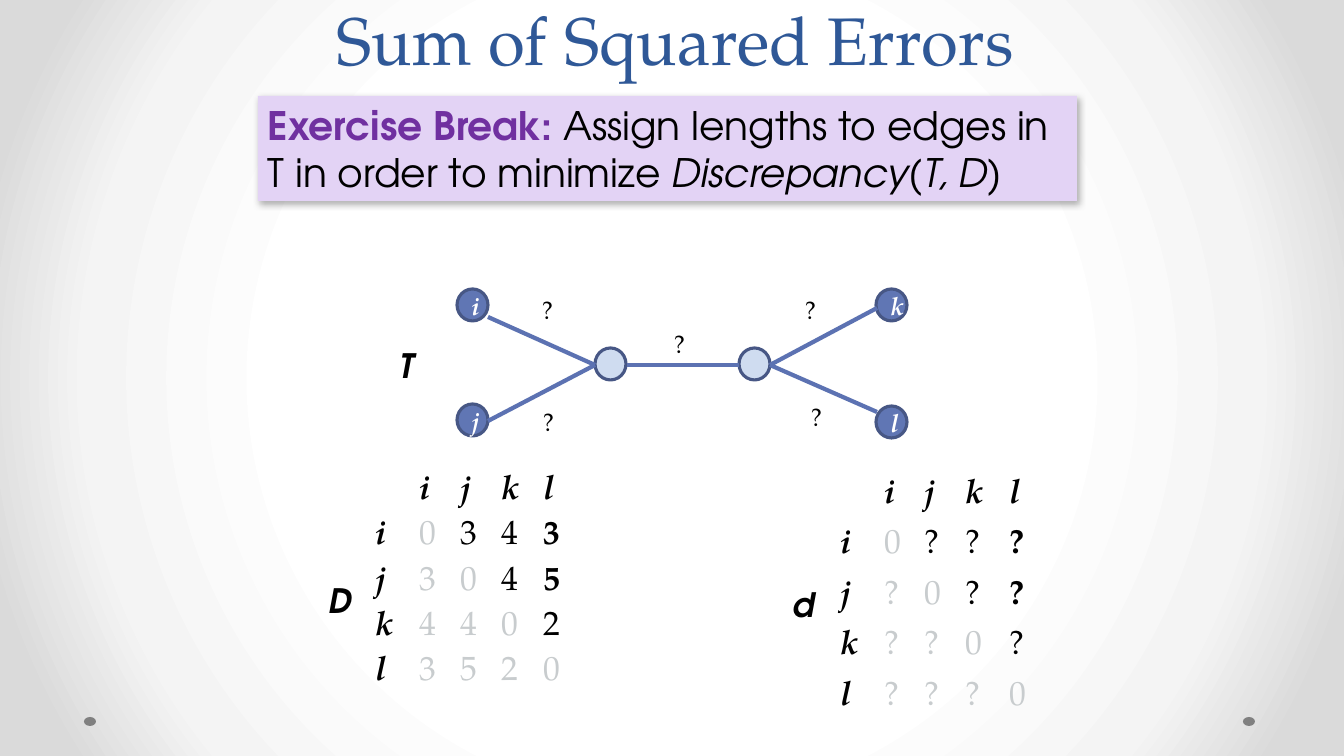
"""Build the Sum of Squared Errors slide: a tree, its distance matrices and an exercise."""
from pptx import Presentation
from pptx.dml.color import RGBColor
from pptx.enum.shapes import MSO_CONNECTOR, MSO_SHAPE
from pptx.enum.text import MSO_ANCHOR, PP_ALIGN
from pptx.oxml import parse_xml
from pptx.oxml.ns import nsdecls, qn
from pptx.util import Emu, Pt

BLACK, WHITE = RGBColor(0, 0, 0), RGBColor(255, 255, 255)
TITLE_BLUE, PURPLE = RGBColor(0x2F, 0x58, 0x97), RGBColor(0x70, 0x30, 0xA0)
LILAC, PALE = RGBColor(0xE3, 0xD3, 0xF5), RGBColor(0xC8, 0xCC, 0xCE)
LEAF, HUB = RGBColor(0x60, 0x76, 0xB4), RGBColor(0xCF, 0xDC, 0xF0)
RIM, EDGE = RGBColor(0x47, 0x57, 0x85), RGBColor(0x5C, 0x72, 0xB2)
GREY = RGBColor(0x80, 0x80, 0x80)
SERIF, SANS = "TeX Gyre Pagella", "TeX Gyre Adventor"
NO_GRID = "{2D5ABB26-0587-4C30-8999-92F81FD0307C}"
SCALE = 914400 / 100.8

TITLE = "Sum of Squared Errors"
EXERCISE = [
    ("Exercise Break: ", PURPLE, {"bold": True}),
    ("Assign lengths to edges in T in order to minimize ", BLACK, {}),
    ("Discrepancy(T, D)", BLACK, {"italic": True}),
]
LEAVES = "ijkl"
NODES = [("i", 457, 289), ("j", 457, 404), ("", 595, 348),
         ("", 739, 348), ("k", 876, 289), ("l", 876, 406)]
EDGES = [(488, 317, 595, 365), (488, 421, 595, 365), (770, 365, 877, 412),
         (770, 365, 877, 308), (627, 365, 739, 365)]
LENGTHS = [(532, 289), (664, 323), (533, 401), (795, 289), (801, 396)]
NAMES = [("D", 319, 575, 45), ("T", 390, 340, 34), ("d", 783, 579, 42)]
MATRICES = [
    (365, 470, 44, (44, 41, 41, 42, 44), ("0343", "3045", "4402", "3520")),
    (830, 474, 50, (44, 40, 41, 45, 48), ("0???", "?0??", "??0?", "???0")),
]
DOTS = [(84, 717), (1243, 717)]

BACKGROUND = f"""<p:bg {nsdecls("p", "a")}><p:bgPr><a:gradFill rotWithShape="1"><a:gsLst>
<a:gs pos="50000"><a:srgbClr val="FFFFFF"/></a:gs>
<a:gs pos="76000"><a:srgbClr val="F4F4F4"/></a:gs>
<a:gs pos="92000"><a:srgbClr val="DADADA"/></a:gs></a:gsLst>
<a:path path="circle"><a:fillToRect l="50000" t="50000" r="50000" b="50000"/></a:path>
</a:gradFill><a:effectLst/></p:bgPr></p:bg>"""
SHADOW = f"""<a:effectLst {nsdecls("a")}><a:outerShdw blurRad="57150" dist="33020"
dir="3180000" algn="tl" rotWithShape="0"><a:srgbClr val="000000"><a:alpha val="30000"/>
</a:srgbClr></a:outerShdw></a:effectLst>"""


def px(*lengths):
    return [Emu(round(n * SCALE)) for n in lengths]


def add_run(p, text, size, color=BLACK, name=SERIF, **fmt):
    r = p.add_run()
    r.text = text
    for key, value in {"name": name, "size": Pt(size), **fmt}.items():
        setattr(r.font, key, value)
    r.font.color.rgb = color


def add_text(slide, box, text, size, **fmt):
    tf = slide.shapes.add_textbox(*px(*box)).text_frame
    tf.word_wrap = False
    add_run(tf.paragraphs[0], text, size, **fmt)
    return tf


def add_filled(slide, kind, box, fill, rim=None):
    sp = slide.shapes.add_shape(kind, *px(*box))
    sp.shadow.inherit = False
    sp.fill.solid()
    sp.fill.fore_color.rgb = fill
    if rim is None:
        sp.line.fill.background()
    else:
        sp.line.color.rgb = rim
        sp.line.width = Pt(2.25)
    return sp


def add_edge(slide, ends):
    line = slide.shapes.add_connector(MSO_CONNECTOR.STRAIGHT, *px(*ends))
    line.line.color.rgb = EDGE
    line.line.width = Pt(3)
    line._element.spPr.append(parse_xml(f"<a:effectLst {nsdecls('a')}/>"))


def add_matrix(slide, left, top, pitch, widths, values):
    n = len(widths)
    frame = slide.shapes.add_table(n, n, *px(left, top, sum(widths), n * pitch))
    table = frame.table
    table.first_row = table.horz_banding = False
    table._tbl.tblPr.find(qn("a:tableStyleId")).text = NO_GRID
    for column, width in zip(table.columns, px(*widths)):
        column.width = width
    for row, height in zip(table.rows, px(*[pitch] * n)):
        row.height = height
    grid = [" " + LEAVES] + [leaf + row for leaf, row in zip(LEAVES, values)]
    for y, line in enumerate(grid):
        for x, text in enumerate(line):
            cell = table.cell(y, x)
            cell.fill.background()
            if pitch < 50:
                cell.margin_bottom = 0
            header = x == 0 or y == 0
            if x or y:
                add_run(cell.text_frame.paragraphs[0], text, 24,
                        BLACK if header or x > y else PALE,
                        bold=header or (x == n - 1 and y < 3), italic=header)


def main():
    prs = Presentation()
    prs.slide_width, prs.slide_height = px(1344, 756)
    slide = prs.slides.add_slide(prs.slide_layouts[6])
    slide._element.cSld.insert(0, parse_xml(BACKGROUND))

    for x, y in DOTS:
        add_filled(slide, MSO_SHAPE.OVAL, (x, y, 12, 9), GREY)
    tf = add_text(slide, (70, 0, 1210, 84), TITLE, 48, color=TITLE_BLUE)
    tf.word_wrap = True
    tf.vertical_anchor = MSO_ANCHOR.BOTTOM
    p = tf.paragraphs[0]
    p.alignment = PP_ALIGN.CENTER
    p.line_spacing = Pt(58)

    for text, x, y in NODES:
        sp = add_filled(slide, MSO_SHAPE.OVAL, (x, y, 31, 32), LEAF if text else HUB, RIM)
        if text:
            tf = sp.text_frame
            tf.vertical_anchor = MSO_ANCHOR.MIDDLE
            tf.paragraphs[0].alignment = PP_ALIGN.CENTER
            add_run(tf.paragraphs[0], text, 18, WHITE, bold=True, italic=True)
    for ends in EDGES:
        add_edge(slide, ends)
    for x, y in LENGTHS:
        add_text(slide, (x, y, 31, 40), "?", 18)
    for text, x, y, width in NAMES:
        add_text(slide, (x, y, width, 50), text, 24, name=SANS, bold=True, italic=True)
    for matrix in MATRICES:
        add_matrix(slide, *matrix)

    sp = add_filled(slide, MSO_SHAPE.RECTANGLE, (258, 96, 819, 105), LILAC)
    sp._element.spPr.replace(sp._element.spPr.find(qn("a:effectLst")), parse_xml(SHADOW))
    sp.text_frame.vertical_anchor = MSO_ANCHOR.TOP
    p = sp.text_frame.paragraphs[0]
    p.alignment = PP_ALIGN.LEFT
    for text, color, fmt in EXERCISE:
        add_run(p, text, 28, color, SANS, **fmt)
    prs.save("out.pptx")


if __name__ == "__main__":
    main()
